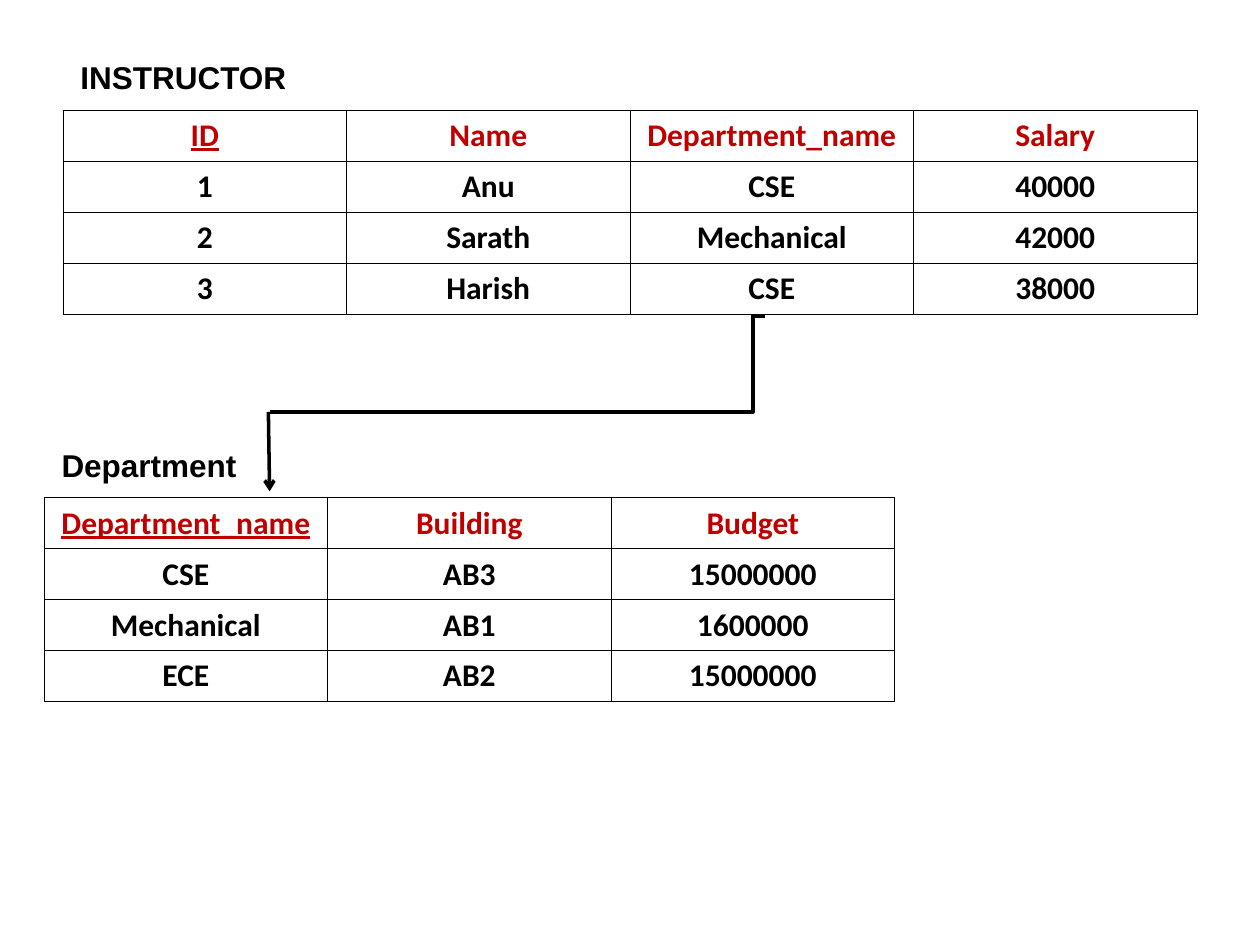
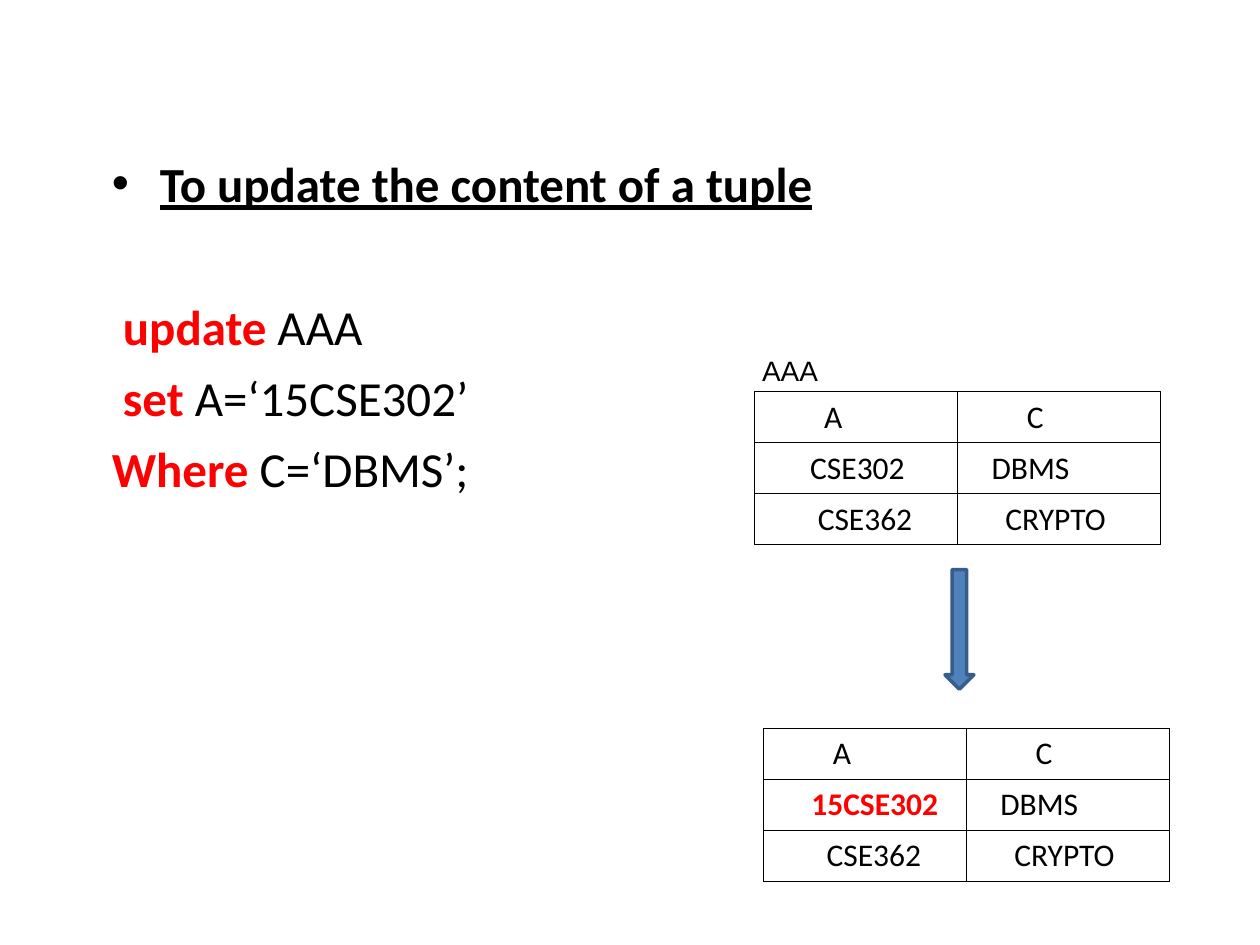
import pptx
import pptx.dml.color
import pptx.enum.shapes
import pptx.enum.text
import pptx.oxml
import pptx.oxml.ns
import pptx.util
from lxml import etree

COLUMNS, ROWS = 100, 75  # grid over the whole slide
BLACK, HEADING, KEYWORD = "000000", "C00000", "FF0000"
ARROW_FILL, ARROW_LINE = "4F81BD", "385D8A"
Pt = pptx.util.Pt
Shapes = pptx.enum.shapes.MSO_SHAPE
Connectors = pptx.enum.shapes.MSO_CONNECTOR
Align = pptx.enum.text.PP_ALIGN


def color(hex_code):
    return pptx.dml.color.RGBColor.from_string(hex_code)


def add_xml(parent, tag, **attributes):
    return etree.SubElement(parent, pptx.oxml.ns.qn(tag), attributes)


class Deck:
    """Holds the shared style and the slide being drawn."""

    body_font, label_font = "Calibri", "Arial"
    cell_size, row_height, cell_inset = 18, 4.05, 1
    border_width, line_width = 0.45, 2

    def __init__(self):
        self.file = pptx.Presentation()
        self.file.slide_width = pptx.util.Inches(10)
        self.file.slide_height = pptx.util.Inches(7.5)
        self.slide = None

    def x(self, columns):
        return round(self.file.slide_width * columns / COLUMNS)

    def y(self, rows):
        return round(self.file.slide_height * rows / ROWS)

    def box(self, left, top, width, height):
        return self.x(left), self.y(top), self.x(width), self.y(height)

    def new_slide(self):
        self.slide = self.file.slides.add_slide(self.file.slide_layouts[6])

    def run(self, paragraph, text, size, font=body_font, hue=BLACK,
            bold=False, underline=False):
        run = paragraph.add_run()
        run.text = text
        run.font.name, run.font.size = font, Pt(size)
        run.font.bold, run.font.underline = bold, underline
        run.font.color.rgb = color(hue)

    def text_frame(self, *place):
        frame = self.slide.shapes.add_textbox(*self.box(*place)).text_frame
        frame.word_wrap = True
        return frame

    def label(self, text, left, top, width, height, size=18, bold=True):
        frame = self.text_frame(left, top, width, height)
        frame.auto_size = pptx.enum.text.MSO_AUTO_SIZE.SHAPE_TO_FIT_TEXT
        self.run(frame.paragraphs[0], text, size, self.label_font, bold=bold)

    def bullet(self, paragraph, indent):
        properties = paragraph._p.get_or_add_pPr()
        properties.set("marL", str(self.x(indent)))
        properties.set("indent", str(-self.x(indent)))
        add_xml(properties, "a:buFont", typeface=self.label_font)
        add_xml(properties, "a:buChar", char="•")

    def border(self, cell):
        properties = cell._tc.get_or_add_tcPr()
        for position, side in enumerate(("a:lnL", "a:lnR", "a:lnT", "a:lnB")):
            line = pptx.oxml.parse_xml(
                f'<{side} {pptx.oxml.ns.nsdecls("a")} w="{Pt(self.border_width)}">'
                f'<a:solidFill><a:srgbClr val="{BLACK}"/></a:solidFill></{side}>')
            properties.insert(position, line)

    def table(self, left, top, column_width, rows, style, align=Align.LEFT, indents=None):
        """style(row, column) gives the run options of a cell."""
        count = len(rows[0])
        table = self.slide.shapes.add_table(
            len(rows), count, *self.box(left, top, column_width * count,
                                        self.row_height * len(rows))).table
        table.first_row = table.horz_banding = False
        for r, values in enumerate(rows):
            for c, value in enumerate(values):
                cell = table.cell(r, c)
                cell.fill.background()
                self.border(cell)
                if indents:
                    cell.margin_left = self.x(self.cell_inset + indents[r][c])
                paragraph = cell.text_frame.paragraphs[0]
                paragraph.alignment = align
                self.run(paragraph, value, self.cell_size, **style(r, c))

    def connector(self, kind, start, end, bend=None, arrow=False):
        link = self.slide.shapes.add_connector(
            kind, self.x(start[0]), self.y(start[1]), self.x(end[0]), self.y(end[1]))
        link.line.color.rgb = color(BLACK)
        link.line.width = Pt(self.line_width)
        properties = link._element.spPr
        if arrow:
            add_xml(link.line._get_or_add_ln(), "a:tailEnd", type="arrow")
        if bend is not None:
            guides = properties.find(".//" + pptx.oxml.ns.qn("a:avLst"))
            add_xml(guides, "a:gd", name="adj1", fmla=f"val {round(bend * 100000)}")
        add_xml(properties, "a:effectLst")

    def shape(self, kind, place, fill, line):
        shape = self.slide.shapes.add_shape(kind, *self.box(*place))
        shape.shadow.inherit = False
        shape.fill.solid()
        shape.fill.fore_color.rgb = color(fill)
        shape.line.color.rgb = color(line)
        shape.line.width = Pt(self.line_width)


def relation_style(row, column):
    """Red heading row, with the primary key underlined."""
    heading = row == 0
    return dict(hue=HEADING if heading else BLACK, bold=True,
                underline=heading and column == 0)


def foreign_key_slide(deck):
    deck.new_slide()
    instructors = [("ID", "Name", "Department_name", "Salary"),
                   ("1", "Anu", "CSE", "40000"),
                   ("2", "Sarath", "Mechanical", "42000"),
                   ("3", "Harish", "CSE", "38000")]
    departments = [("Department_name", "Building", "Budget"),
                   ("CSE", "AB3", "15000000"),
                   ("Mechanical", "AB1", "1600000"),
                   ("ECE", "AB2", "15000000")]

    # Each relation: its name above its table
    for name, left, top, rows in (("INSTRUCTOR", 5, 8.75, instructors),
                                  ("Department", 3.5, 39.5, departments)):
        deck.table(left, top, 22.5, rows, relation_style, Align.CENTER)
        deck.label(name, left + 0.4, top - 4.6, 26.4, 4)

    # Foreign key: from the instructor's department down to the department
    corner = (21.4, 32.7)
    deck.connector(Connectors.STRAIGHT, (21.3, 32.7), (21.4, 39), arrow=True)
    deck.connector(Connectors.ELBOW, (60.7, 25.1), corner, bend=0.024)


def update_slide(deck):
    deck.new_slide()

    # Heading and SQL statement
    size, gap, blank_line = 28, 7, 41
    body = deck.text_frame(7.9, 11.7, 90, 49.5)
    heading = body.paragraphs[0]
    heading.space_before = Pt(gap)
    deck.bullet(heading, 3.8)
    deck.run(heading, "To update the content of a tuple", size, bold=True, underline=True)
    statement = [(" ", "update", " AAA"),
                 (" ", "set", " A=‘15CSE302’"),
                 ("", "Where", " C=‘DBMS’;")]
    for number, (lead, keyword, rest) in enumerate(statement):
        clause = body.add_paragraph()
        clause.space_before = Pt(gap if number else gap + blank_line)
        if lead:
            deck.run(clause, lead, size)
        deck.run(clause, keyword, size, hue=KEYWORD, bold=True)
        deck.run(clause, rest, size)

    # The relation before and after the update
    def tuples(left, top, code, code_indent, changed):
        def style(row, column):
            if changed and (row, column) == (1, 0):
                return dict(hue=KEYWORD, bold=True)
            return {}

        rows = [("A", "C"), (code, "DBMS"), ("CSE362", "CRYPTO")]
        indents = [(4.5, 4.5), (code_indent, 1.7), (4, 2.8)]
        deck.table(left, top, 16.1, rows, style, indents=indents)

    tuples(59.9, 31.1, "CSE302", 3.4, changed=False)
    deck.label("AAA", 59.5, 27.6, 11, 3.7, size=16, bold=False)
    tuples(60.6, 57.8, "15CSE302", 2.8, changed=True)
    deck.shape(Shapes.DOWN_ARROW, (75, 45.2, 2.3, 9.5), ARROW_FILL, ARROW_LINE)


def main():
    deck = Deck()
    foreign_key_slide(deck)
    update_slide(deck)
    deck.file.save("out.pptx")


if __name__ == "__main__":
    main()
